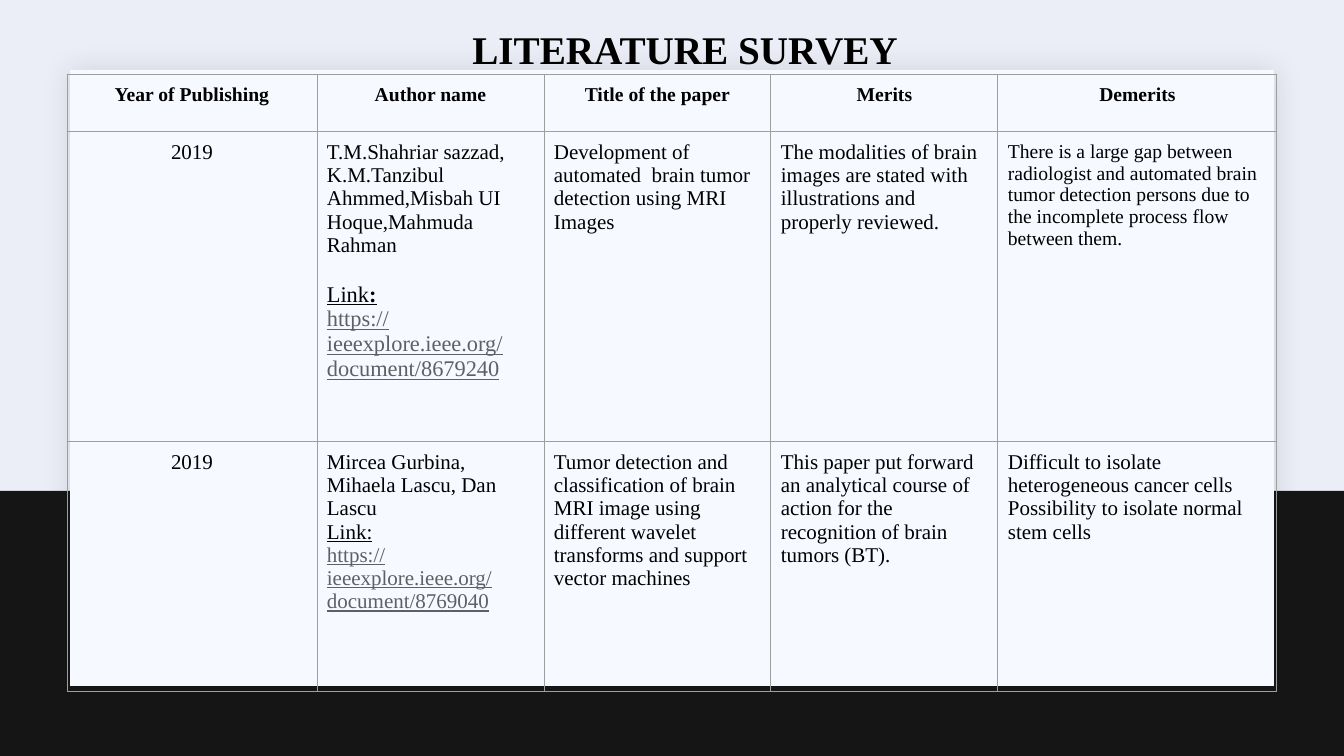
from lxml import etree
from pptx import Presentation
from pptx import util as u
from pptx.dml.color import RGBColor
from pptx.enum import shapes, text
from pptx.oxml.ns import qn

FONT = "Times New Roman"
HUES = {"back": "ECEEF7", "band": "141514", "card": "F6F9FF", "shade": "1F2125",
        "rule": "9E9E9E", "ink": "000000", "link": "5F6063"}
COLS = [250, 227, 227, 227, 279]
ROWS = [57, 310, 251]
HEADS = ["Year of Publishing", "Author name", "Title of the paper", "Merits", "Demerits"]
PAPERS = [
    {"year": "2019",
     "names": "T.M.Shahriar sazzad, K.M.Tanzibul Ahmmed,Misbah UI Hoque,Mahmuda Rahman",
     "url": "https://ieeexplore.ieee.org/document/8679240",
     "size": 16, "gap": 18, "bold": True,
     "notes": [
         ("Development of automated  brain tumor detection using MRI Images", 15),
         ("The modalities of brain images are stated with illustrations and "
          "properly reviewed.", 15),
         ("There is a large gap between radiologist and automated brain tumor detection "
          "persons due to the incomplete process flow between them.", 14)]},
    {"year": "2019",
     "names": "Mircea Gurbina, Mihaela Lascu, Dan Lascu",
     "url": "https://ieeexplore.ieee.org/document/8769040",
     "size": 15, "gap": 0, "bold": False,
     "notes": [
         ("Tumor detection and classification of brain MRI image using different wavelet "
          "transforms and support vector machines", 15),
         ("This paper put forward an analytical course of action for the recognition of "
          "brain tumors (BT).", 15),
         ("Difficult to isolate heterogeneous cancer cells Possibility to isolate normal "
          "stem cells", 15)]},
]


def px(n):
    return u.Emu(round(n * 914400 / 100.8))


def hue(name):
    return RGBColor.from_string(HUES[name])


def style(run, size, color="ink", bold=False, line=False):
    font = run.font
    font.name = FONT
    font.size = u.Pt(size)
    font.bold = bold
    font.underline = line
    font.color.rgb = hue(color)


def panel(slide, box, color):
    rect = slide.shapes.add_shape(shapes.MSO_SHAPE.RECTANGLE, *map(px, box))
    rect.shadow.inherit = False
    rect.fill.solid()
    rect.fill.fore_color.rgb = hue(color)
    rect.line.fill.background()
    return rect


def shade(rect):
    glow = rect._element.spPr.find(qn("a:effectLst"))
    drop = etree.SubElement(glow, qn("a:outerShdw"), blurRad=str(u.Pt(20)),
                            dist=str(u.Pt(2)), dir="2700000", algn="ctr", rotWithShape="0")
    tint = etree.SubElement(drop, qn("a:srgbClr"), val=HUES["shade"])
    etree.SubElement(tint, qn("a:alpha"), val="15000")


def rule(cell):
    props = cell._tc.get_or_add_tcPr()
    for spot, side in enumerate(["lnL", "lnR", "lnT", "lnB"]):
        edge = etree.Element(qn("a:" + side), w=str(u.Pt(0.75)))
        fill = etree.SubElement(edge, qn("a:solidFill"))
        etree.SubElement(fill, qn("a:srgbClr"), val=HUES["rule"])
        props.insert(spot, edge)


def write(cell, words, size, bold=False, mid=False):
    para = cell.text_frame.paragraphs[0]
    para.text = words
    para.alignment = text.PP_ALIGN.CENTER if mid else text.PP_ALIGN.LEFT
    style(para.runs[0], size, bold=bold)


def source(cell, paper):
    write(cell, paper["names"], 15)
    frame = cell.text_frame
    size = paper["size"]
    label = frame.add_paragraph()
    label.text = "Link"
    label.space_before = u.Pt(paper["gap"])
    label.add_run().text = ":"
    style(label.runs[0], size, line=True)
    style(label.runs[1], size, bold=paper["bold"], line=True)
    link = frame.add_paragraph()
    link.text = paper["url"]
    style(link.runs[0], size, "link", line=True)


def survey(slide):
    frame = slide.shapes.add_table(len(ROWS), len(COLS), px(67), px(74),
                                   px(sum(COLS)), px(sum(ROWS)))
    table = frame.table
    table.first_row = table.horz_banding = False
    for col, wide in zip(table.columns, COLS):
        col.width = px(wide)
    for row, high in zip(table.rows, ROWS):
        row.height = px(high)
    for cell in table.iter_cells():
        cell.margin_left = cell.margin_right = px(10)
        cell.margin_top = cell.margin_bottom = px(10)
        cell.fill.background()
        rule(cell)
    for col, head in enumerate(HEADS):
        write(table.cell(0, col), head, 14, bold=True, mid=True)
    for row, paper in enumerate(PAPERS, 1):
        write(table.cell(row, 0), paper["year"], 15, mid=True)
        source(table.cell(row, 1), paper)
        for col, (words, size) in enumerate(paper["notes"], 2):
            write(table.cell(row, col), words, size)


def title(slide, words):
    head = slide.shapes.title
    head.left, head.top, head.width, head.height = map(px, (67, 0, 1210, 83))
    frame = head.text_frame
    frame.text = words
    frame.word_wrap = True
    frame.auto_size = text.MSO_AUTO_SIZE.NONE
    frame.vertical_anchor = text.MSO_ANCHOR.MIDDLE
    frame.margin_left, frame.margin_top = px(26), px(14)
    frame.margin_right = frame.margin_bottom = 0
    para = frame.paragraphs[0]
    para.alignment = text.PP_ALIGN.CENTER
    style(para.runs[0], 28, bold=True)
    slide.shapes._spTree.append(head._element)


def main():
    deck = Presentation()
    deck.slide_width, deck.slide_height = px(1344), px(756)
    slide = deck.slides.add_slide(deck.slide_layouts[5])
    slide.background.fill.solid()
    slide.background.fill.fore_color.rgb = hue("back")
    panel(slide, (0, 491, 1344, 265), "band")
    shade(panel(slide, (70, 70, 1204, 616), "card"))
    survey(slide)
    title(slide, "LITERATURE SURVEY")
    deck.save("out.pptx")


if __name__ == "__main__":
    main()
